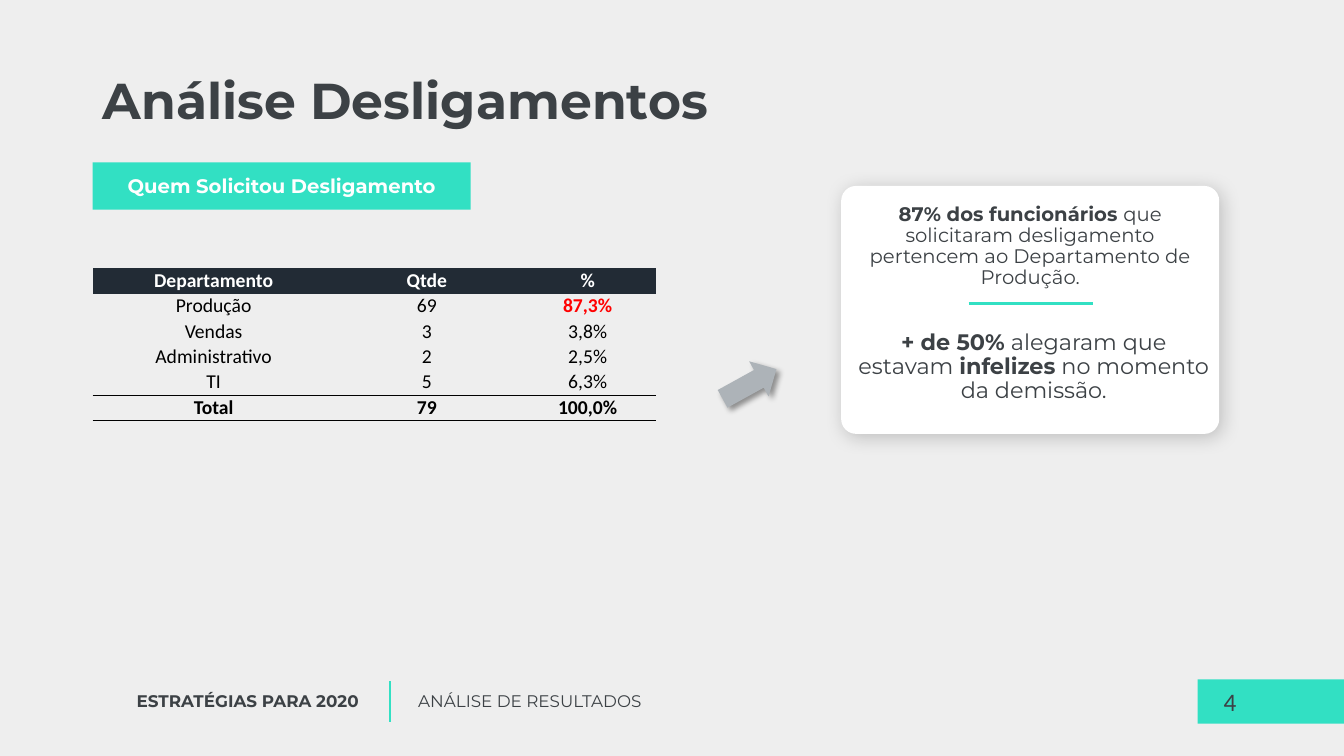
from lxml import etree
from pptx import Presentation, util as u
from pptx.dml.color import RGBColor
from pptx.enum import shapes, text
from pptx.oxml import parse_xml
from pptx.oxml.ns import nsdecls, qn

THEME = {
    "ground": "EEEEEE", "accent": "32E0C3", "ink": "3C4145", "white": "FFFFFF",
    "header": "222B35", "black": "000000", "alert": "FF0000", "arrow": "ADB3B8",
    "display": "Montserrat", "plain": "Calibri",
    "title": 36, "number": 18, "large": 16, "normal": 14, "footer": 12,
}
LEFT, CENTER, RIGHT = text.PP_ALIGN.LEFT, text.PP_ALIGN.CENTER, text.PP_ALIGN.RIGHT
MIDDLE, TOP = text.MSO_ANCHOR.MIDDLE, text.MSO_ANCHOR.TOP

deck = Presentation()
deck.slide_width, deck.slide_height = u.Inches(13.33), u.Inches(7.5)
page = deck.slides.add_slide(deck.slide_layouts[6])
page.background.fill.solid()
page.background.fill.fore_color.rgb = RGBColor.from_string(THEME["ground"])


def share(*percents):
    sides = (deck.slide_width, deck.slide_height)
    return [round(sides[i % 2] * percent / 100) for i, percent in enumerate(percents)]


def write(frame, spans, size, color="ink", font="display", align=LEFT, spacing=0.9):
    para = frame.paragraphs[0]
    para.alignment, para.line_spacing = align, spacing
    for words, bold in spans:
        span = para.add_run()
        span.text = words
        look = {"name": THEME[font], "size": u.Pt(THEME[size]), "bold": bold}
        for key, value in look.items():
            setattr(span.font, key, value)
        span.font.color.rgb = RGBColor.from_string(THEME[color])


MARGIN = 6.9
FOOTER_TOP, FOOTER_HEIGHT = 89.33, 7.07
PANEL_WIDTH = 28.13

SHAPES = [
    ("bar", "RECTANGLE", (89.1, 89.87, 10.9, 5.87), "accent", None),
    ("badge", "RECTANGLE", (MARGIN, 21.47, PANEL_WIDTH, 6.27), "accent", None),
    ("card", "ROUNDED_RECTANGLE", (62.59, 24.6, PANEL_WIDTH, 32.8), "white", (14, 20)),
    ("arrow", "RIGHT_ARROW", (53.48, 48.13, 4.58, 5.33), "arrow", (4, 40)),
]
drawn = {}
for name, kind, area, color, shadow in SHAPES:
    shape = page.shapes.add_shape(getattr(shapes.MSO_SHAPE, kind), *share(*area))
    shape.fill.solid()
    shape.fill.fore_color.rgb = RGBColor.from_string(THEME[color])
    shape.line.fill.background()
    shape.shadow.inherit = False
    if shadow:
        blur, opacity = shadow
        shape._element.spPr.find(qn("a:effectLst")).append(parse_xml(
            f'<a:outerShdw {nsdecls("a")} blurRad="{u.Pt(blur)}" dist="{u.Pt(3)}" '
            f'dir="2700000" algn="tl" rotWithShape="0"><a:srgbClr val="{THEME["black"]}">'
            f'<a:alpha val="{opacity * 1000}"/></a:srgbClr></a:outerShdw>'))
    drawn[name] = shape
drawn["card"].adjustments[0] = 0.06
drawn["arrow"].rotation = 331.1
drawn["badge"].text_frame.vertical_anchor = MIDDLE
write(drawn["badge"].text_frame, [("Quem Solicitou Desligamento", True)],
      "normal", "white", align=CENTER, spacing=1.0)

LINES = [((29.03, 90.13, 29.03, 95.47), 1), ((72.08, 40.13, 81.3, 40.13), 2)]
for ends, weight in LINES:
    line = page.shapes.add_connector(shapes.MSO_CONNECTOR.STRAIGHT, *share(*ends))
    line.line.color.rgb = RGBColor.from_string(THEME["accent"])
    line.line.width = u.Pt(weight)
    etree.SubElement(line._element.spPr, qn("a:effectLst"))

TEXTS = [
    ((MARGIN, 7.2, 86.25, 12.8), [("Análise Desligamentos", True)], "title", LEFT),
    ((MARGIN, FOOTER_TOP, 20.55, FOOTER_HEIGHT),
     [("ESTRATÉGIAS PARA 2020", True)], "footer", RIGHT),
    ((30.38, FOOTER_TOP, 25.73, FOOTER_HEIGHT),
     [("ANÁLISE DE RESULTADOS", False)], "footer", LEFT),
    ((62.63, 25.6, 28.05, 14),
     [("87% dos funcionários ", True),
      ("que solicitaram desligamento pertencem ao Departamento de Produção.", False)],
     "normal", CENTER),
    ((63.08, 39.73, 27.68, 17.73),
     [("+ de 50% ", True), ("alegaram que estavam ", False), ("infelizes", True),
      (" no momento da demissão.", False)], "large", CENTER),
]
for area, spans, size, align in TEXTS:
    box = page.shapes.add_textbox(*share(*area))
    for key, value in {"word_wrap": True, "vertical_anchor": MIDDLE}.items():
        setattr(box.text_frame, key, value)
    write(box.text_frame, spans, size, align=align)

number = page.shapes.add_textbox(*share(90.3, 90.13, 2.48, 5.33))
for key, value in {"word_wrap": False, "vertical_anchor": TOP}.items():
    setattr(number.text_frame, key, value)
write(number.text_frame, [("4", False)], "number", font="plain", spacing=1.0)

ROWS = [
    ("Departamento", "Qtde", "%"),
    ("Produção", "69", "87,3%"),
    ("Vendas", "3", "3,8%"),
    ("Administrativo", "2", "2,5%"),
    ("TI", "5", "6,3%"),
    ("Total", "79", "100,0%"),
]
COLUMNS = (18, 13.73, 10.2)
LAST = len(ROWS) - 1
BORDERS = {LAST - 1: [("lnB", 0.5)], LAST: [("lnT", 0.5), ("lnB", 1)]}
CELL = {"margin_left": 0, "margin_right": 0, "margin_top": 0, "margin_bottom": 0,
        "vertical_anchor": MIDDLE}

holder = page.shapes.add_table(len(ROWS), len(COLUMNS),
                               *share(MARGIN, 35.47, sum(COLUMNS), 20.13))
table = holder.table
table.horz_banding = False
holder._element.find(".//" + qn("a:tableStyleId")).text = "{2D5ABB26-0587-4C30-8999-92F81FD0307C}"
for column, width in zip(table.columns, COLUMNS):
    column.width = share(width)[0]
for r, values in enumerate(ROWS):
    for c, value in enumerate(values):
        cell = table.cell(r, c)
        for key, setting in CELL.items():
            setattr(cell, key, setting)
        alert = value == "87,3%"
        color = "white" if r == 0 else "alert" if alert else "black"
        write(cell.text_frame, [(value, alert or r in (0, LAST))], "normal", color,
              "plain", CENTER, 1.0)
        if r == 0:
            cell.fill.solid()
            cell.fill.fore_color.rgb = RGBColor.from_string(THEME["header"])
        else:
            cell.fill.background()
        for place, (side, weight) in enumerate(BORDERS.get(r, [])):
            cell._tc.get_or_add_tcPr().insert(place, parse_xml(
                f'<a:{side} {nsdecls("a")} w="{u.Pt(weight)}"><a:solidFill>'
                f'<a:srgbClr val="{THEME["black"]}"/></a:solidFill></a:{side}>'))

deck.save("out.pptx")
